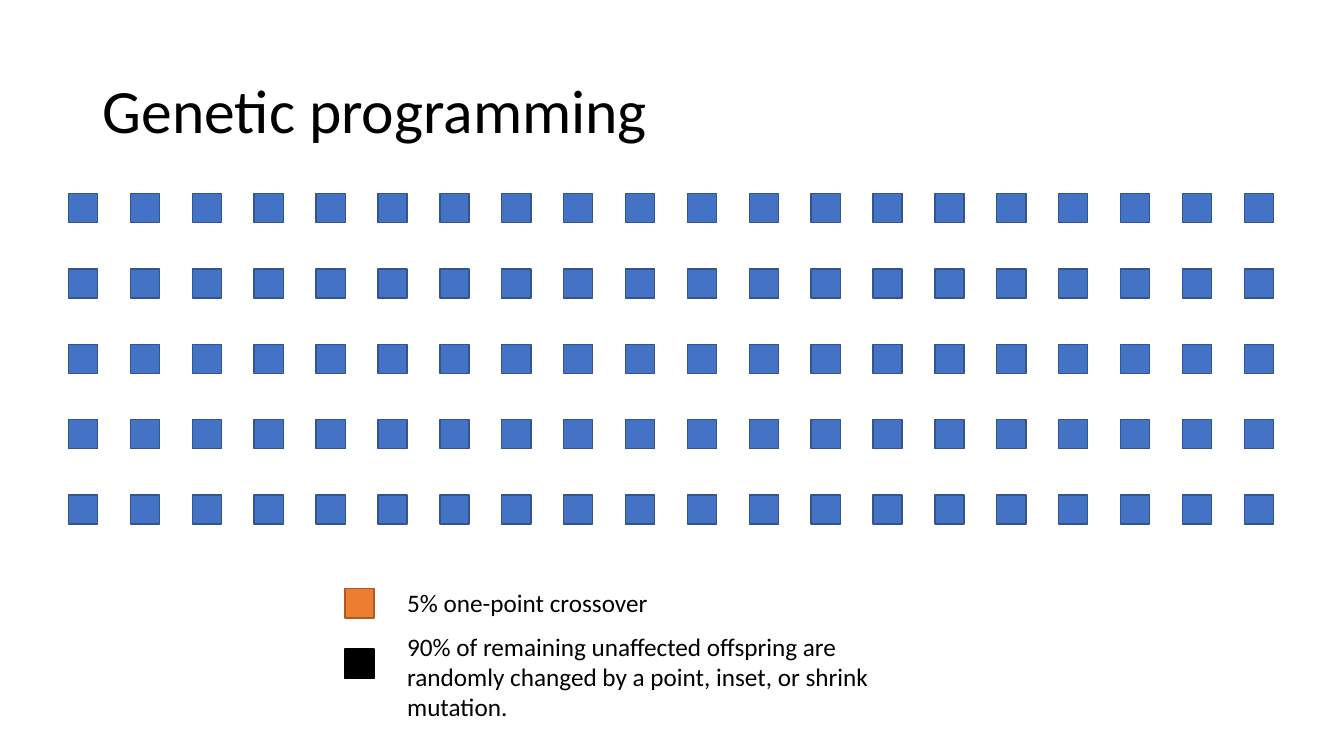
"""Build the genetic programming slide: a population grid and its legend."""
import dataclasses

import pptx
import pptx.dml.color
import pptx.enum.shapes
import pptx.enum.text
import pptx.slide
import pptx.util

Inches = pptx.util.Inches
SIDE = 0.29
COLS, ROWS = 20, 5
LEFT, RIGHT = 0.68, 12.34
TOP, BOTTOM = 1.92, 4.91


@dataclasses.dataclass
class Cell:
    """A small square with its colours."""
    left: float
    top: float
    fill: str = "4472C4"
    line: str = "325491"


@dataclasses.dataclass
class Label:
    """A line of text and the box that holds it."""
    text: str
    left: float
    top: float
    width: float
    height: float
    size: int = 18
    wrap: bool = True
    title: bool = False


def color(code: str) -> pptx.dml.color.RGBColor:
    """Turn a hex string into a colour."""
    return pptx.dml.color.RGBColor.from_string(code)


def draw_cell(slide: pptx.slide.Slide, cell: Cell) -> None:
    """Draw one square."""
    shape = slide.shapes.add_shape(
        pptx.enum.shapes.MSO_SHAPE.RECTANGLE,
        Inches(cell.left), Inches(cell.top), Inches(SIDE), Inches(SIDE))
    shape.shadow.inherit = False
    shape.fill.solid()
    shape.fill.fore_color.rgb = color(cell.fill)
    shape.line.color.rgb = color(cell.line)
    shape.line.width = pptx.util.Pt(1)


def draw_label(slide: pptx.slide.Slide, label: Label) -> None:
    """Draw one text box."""
    box = slide.shapes.add_textbox(
        Inches(label.left), Inches(label.top),
        Inches(label.width), Inches(label.height))
    frame = box.text_frame
    frame.word_wrap = label.wrap
    para = frame.paragraphs[0]
    if label.title:
        frame.vertical_anchor = pptx.enum.text.MSO_ANCHOR.MIDDLE
        para.line_spacing = 0.9
    else:
        frame.auto_size = pptx.enum.text.MSO_AUTO_SIZE.SHAPE_TO_FIT_TEXT
    run = para.add_run()
    run.text = label.text
    run.font.name = "Calibri"
    run.font.size = pptx.util.Pt(label.size)
    run.font.color.rgb = color("000000")


def main() -> None:
    """Build and save the slide."""
    deck = pptx.Presentation()
    deck.slide_width, deck.slide_height = Inches(13.33), Inches(7.5)
    slide = deck.slides.add_slide(deck.slide_layouts[6])

    step_x = (RIGHT - LEFT) / (COLS - 1)
    step_y = (BOTTOM - TOP) / (ROWS - 1)
    cells = [Cell(LEFT + col * step_x, TOP + row * step_y)
             for row in range(ROWS) for col in range(COLS)]
    keys = [Cell(3.42, 5.84, "ED7D31", "AF5C24"),
            Cell(3.42, 6.44, "000000", "000000")]
    labels = [
        Label("Genetic programming", 0.92, 0.4, 11.5, 1.45, 44, title=True),
        Label("5% one-point crossover", 3.94, 5.78, 2.61, 0.4, wrap=False),
        Label("90% of remaining unaffected offspring are randomly changed "
              "by a point, inset, or shrink mutation.",
              3.94, 6.21, 5.44, 1.01),
    ]
    for cell in cells + keys:
        draw_cell(slide, cell)
    for label in labels:
        draw_label(slide, label)
    deck.save("out.pptx")


if __name__ == "__main__":
    main()
